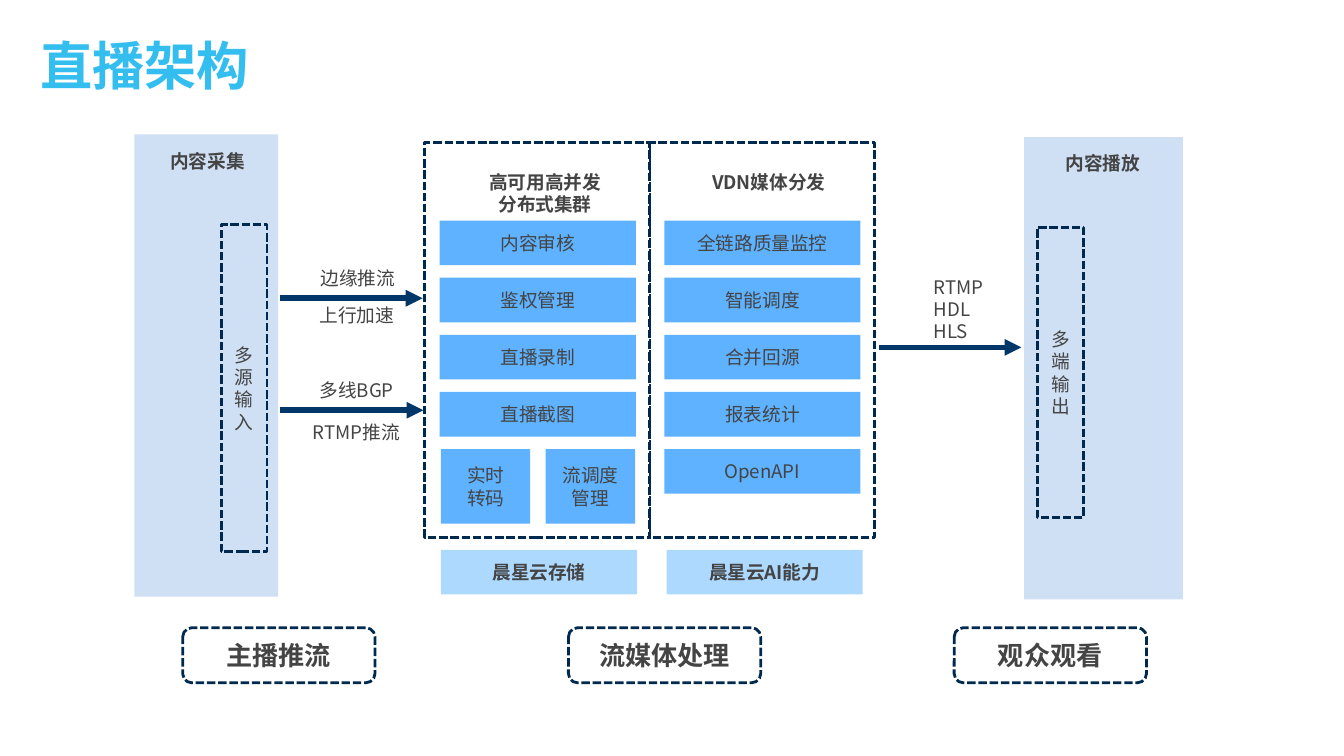
"""Build a one-page live streaming architecture diagram."""
from lxml import etree
from pptx import Presentation
from pptx.dml.color import RGBColor
from pptx.enum.dml import MSO_LINE
from pptx.enum.shapes import MSO_CONNECTOR, MSO_SHAPE
from pptx.enum.text import MSO_ANCHOR, PP_ALIGN
from pptx.oxml.ns import qn
from pptx.util import Pt

RECT, ROUNDED = MSO_SHAPE.RECTANGLE, MSO_SHAPE.ROUNDED_RECTANGLE
STRAIGHT, DASH = MSO_CONNECTOR.STRAIGHT, MSO_LINE.SQUARE_DOT
LEFT, CENTER = PP_ALIGN.LEFT, PP_ALIGN.CENTER
TOP, MIDDLE = MSO_ANCHOR.TOP, MSO_ANCHOR.MIDDLE

CYAN = RGBColor(0x34, 0xBE, 0xF0)
PANEL = RGBColor(0x14, 0x65, 0xCA)
NAVY = RGBColor(0x00, 0x29, 0x4F)
ARROW = RGBColor(0x00, 0x37, 0x69)
BLUE = RGBColor(0x5E, 0xB2, 0xFF)
PALE = RGBColor(0xAE, 0xD9, 0xFF)
GRAY = RGBColor(0x44, 0x44, 0x44)
CJK = "Noto Sans CJK SC"

PANELS = [(548.64, 73.44, 85, 247.7), (72, 72, 77, 247.7)]
ENDPOINTS = [("多\n源\n输\n入", (118.5, 120.5, 24.6, 175)),
             ("多\n端\n输\n出", (555.8, 121.7, 24.6, 155.6))]
COLUMNS = [
    (227.6, 235.6, ["内容审核", "鉴权管理", "直播录制", "直播截图"], "晨星云存储", 236.2),
    (348.2, 355.9, ["全链路质量监控", "智能调度", "合并回源", "报表统计", "OpenAPI"],
     "晨星云AI能力", 357.1),
]
HALF_CELLS = [("实时\n转码", 236.2), ("流调度\n管理", 292.4)]
HEADINGS = [("高可用高并发\n分布式集群", (228, 87.8, 128, 31.7), CENTER),
            ("VDN媒体分发", (374.4, 87.8, 118, 19.4), LEFT),
            ("内容播放", (563.8, 77.8, 89.3, 19.4), LEFT),
            ("内容采集", (84.2, 77, 94.3, 19.4), LEFT)]
LABELS = [("RTMP\nHDL\nHLS", (493.2, 144, 80, 43.9)),
          ("边缘推流", (164.6, 139.7, 131.8, 19.4)),
          ("上行加速", (164.2, 159.1, 131.8, 19.4)),
          ("多线BGP", (164.2, 199.4, 131.8, 19.4)),
          ("RTMP推流", (160.6, 221.8, 131.8, 19.4))]
ARROWS = [(149.8, 226.4, 159.8), (149.8, 226.8, 219.8), (470.9, 547.2, 186.1)]
STAGES = ["主播推流", "流媒体处理", "观众观看"]

COLUMN_TOP, COLUMN_WIDTH, COLUMN_HEIGHT = 76.3, 120.5, 211.7
CELL_TOP, CELL_WIDTH, CELL_HEIGHT, CELL_STEP = 118.2, 105.1, 23.9, 30.6
HALF_WIDTH, HALF_HEIGHT, BASE_TOP = 47.9, 40, 294.6
STAGE_LEFT, STAGE_TOP, STAGE_STEP = 97.9, 336.3, 206.65
STAGE_WIDTH, STAGE_HEIGHT = 103, 29.5


def write(box, text, size=10, bold=False, color=GRAY, font=CJK, align=CENTER,
          anchor=MIDDLE, inset=(3.6, 3.6), spacing=None):
    frame = box.text_frame
    frame.word_wrap = True
    frame.vertical_anchor = anchor
    frame.margin_left = frame.margin_right = Pt(inset[0])
    frame.margin_top = frame.margin_bottom = Pt(inset[1])
    for index, line in enumerate(text.split("\n")):
        para = frame.add_paragraph() if index else frame.paragraphs[0]
        para.alignment = align
        if spacing:
            para.line_spacing = spacing
        span = para.add_run()
        span.text = line
        span.font.size, span.font.bold, span.font.name = Pt(size), bold, font
        span.font.color.rgb = color
        east = etree.SubElement(span.font._element, qn("a:ea"))
        east.set("typeface", CJK)


def add_box(page, place, fill=None, kind=RECT, opacity=None):
    box = page.shapes.add_shape(kind, *map(Pt, place))
    box.shadow.inherit = False
    if fill is None:
        box.fill.background()
        box.line.color.rgb = NAVY
        box.line.width = Pt(1.5)
        box.line.dash_style = DASH
    else:
        box.fill.solid()
        box.fill.fore_color.rgb = fill
        box.line.fill.background()
    if opacity:
        tint = box._element.spPr.find(qn("a:solidFill")).find(qn("a:srgbClr"))
        etree.SubElement(tint, qn("a:alpha")).set("val", str(opacity * 1000))
    return box


def add_label(page, text, place, **style):
    box = page.shapes.add_textbox(*map(Pt, place))
    write(box, text, **{"align": LEFT, "anchor": TOP, "inset": (7.2, 3.6), **style})


def add_arrow(page, start, end, height):
    arrow = page.shapes.add_connector(STRAIGHT, Pt(start), Pt(height), Pt(end), Pt(height))
    arrow.line.color.rgb = ARROW
    arrow.line.width = Pt(3)
    etree.SubElement(arrow.line._get_or_add_ln(), qn("a:tailEnd")).set("type", "triangle")
    etree.SubElement(arrow._element.spPr, qn("a:effectLst"))


def add_column(page, left, cell_left, cells, base, base_left):
    add_box(page, (left, COLUMN_TOP, COLUMN_WIDTH, COLUMN_HEIGHT))
    for row, text in enumerate(cells):
        top = CELL_TOP + row * CELL_STEP
        write(add_box(page, (cell_left, top, CELL_WIDTH, CELL_HEIGHT), BLUE), text)
    write(add_box(page, (base_left, BASE_TOP, CELL_WIDTH, CELL_HEIGHT), PALE), base, bold=True)


def main():
    deck = Presentation()
    deck.slide_width, deck.slide_height = Pt(720), Pt(405)
    page = deck.slides.add_slide(deck.slide_layouts[6])
    add_label(page, "直播架构", (21.6, 21.6, 626.4, 35.3), size=28, bold=True,
              color=CYAN, font="Arial", inset=(0, 0), spacing=0.9)
    for place in PANELS:
        add_box(page, place, PANEL, opacity=20)
    for text, place in ENDPOINTS:
        write(add_box(page, place), text, inset=(0, 0))
    for column in COLUMNS:
        add_column(page, *column)
    half_top = CELL_TOP + 4 * CELL_STEP
    for text, left in HALF_CELLS:
        write(add_box(page, (left, half_top, HALF_WIDTH, HALF_HEIGHT), BLUE), text)
    for arrow in ARROWS:
        add_arrow(page, *arrow)
    for text, place, align in HEADINGS:
        add_label(page, text, place, bold=True, align=align)
    for text, place in LABELS:
        add_label(page, text, place)
    for index, text in enumerate(STAGES):
        left = STAGE_LEFT + index * STAGE_STEP
        box = add_box(page, (left, STAGE_TOP, STAGE_WIDTH, STAGE_HEIGHT), kind=ROUNDED)
        write(box, text, size=14, bold=True)
    deck.save("out.pptx")


if __name__ == "__main__":
    main()
